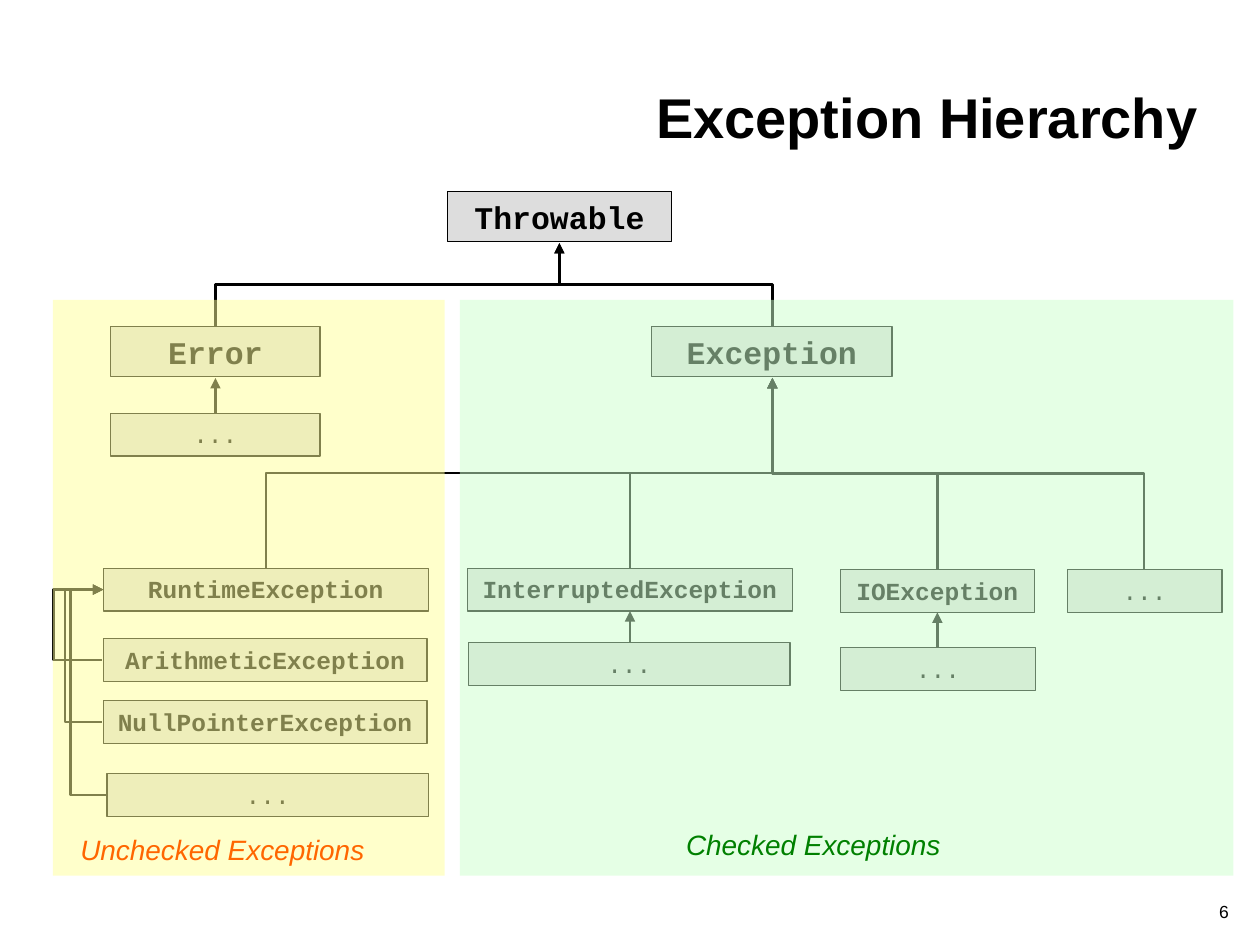
from lxml import etree
from pptx import Presentation
from pptx.dml.color import RGBColor
from pptx.enum.shapes import MSO_CONNECTOR as Connector, MSO_SHAPE as Shape
from pptx.enum.text import MSO_ANCHOR as Anchor, MSO_AUTO_SIZE as AutoSize, PP_ALIGN as Align
from pptx.oxml.ns import qn
from pptx.util import Inches, Pt


def write(shape, text, size, font="Arial", color="000000", align=Align.CENTER,
          anchor=Anchor.TOP, bold=False, italic=False):
    frame = shape.text_frame
    frame.word_wrap = True
    frame.auto_size = AutoSize.NONE
    frame.vertical_anchor = anchor
    paragraph = frame.paragraphs[0]
    paragraph.alignment = align
    run = paragraph.add_run()
    run.text = text
    run.font.name, run.font.size = font, Pt(size)
    run.font.bold, run.font.italic = bold, italic
    run.font.color.rgb = RGBColor.from_string(color)


def arrow(kind, x1, y1, x2, y2, rotation=0, bend=0.5):
    connector = slide.shapes.add_connector(
        kind, Inches(x1), Inches(y1), Inches(x2), Inches(y2))
    connector.line.color.rgb = RGBColor.from_string("000000")
    connector.line.width = Pt(1.5)
    properties = connector._element.spPr
    line = properties.find(qn("a:ln"))
    etree.SubElement(line, qn("a:tailEnd"), type="triangle")
    etree.SubElement(properties, qn("a:effectLst"))
    if kind == Connector.ELBOW:
        properties.find(qn("a:xfrm")).set("rot", str(rotation * 60000))
        guides = properties.find(qn("a:prstGeom")).get_or_add_avLst()
        etree.SubElement(guides, qn("a:gd"), name="adj1",
                         fmla=f"val {round(bend * 100000)}")


presentation = Presentation()
presentation.slide_width, presentation.slide_height = Inches(10), Inches(7.5)
slide = presentation.slides.add_slide(presentation.slide_layouts[5])

# Title
title = slide.shapes.title
title.left, title.top = Inches(0.7), Inches(0.04)
title.width, title.height = Inches(8.91), Inches(1.2)
write(title, "Exception Hierarchy", 32, align=Align.RIGHT, anchor=Anchor.BOTTOM, bold=True)

# Class boxes: name, left, top, width, height, text size
classes = [
    ("Throwable", 3.55, 1.52, 1.78, 0.4, 18),
    ("Error", 0.88, 2.59, 1.66, 0.4, 18),
    ("Exception", 5.17, 2.59, 1.91, 0.4, 18),
    ("RuntimeException", 0.82, 4.51, 2.58, 0.34, 14),
    ("InterruptedException", 3.71, 4.51, 2.58, 0.34, 14),
    ("IOException", 6.67, 4.52, 1.54, 0.34, 14),
    ("ArithmeticException", 0.82, 5.07, 2.57, 0.34, 14),
    ("NullPointerException", 0.82, 5.56, 2.57, 0.34, 14),
    ("...", 0.88, 3.28, 1.66, 0.34, 14),
    ("...", 0.85, 6.14, 2.55, 0.34, 14),
    ("...", 8.47, 4.52, 1.23, 0.34, 14),
    ("...", 3.72, 5.1, 2.55, 0.34, 14),
    ("...", 6.67, 5.14, 1.55, 0.34, 14),
]
for name, left, top, width, height, size in classes:
    box = slide.shapes.add_shape(
        Shape.RECTANGLE, Inches(left), Inches(top), Inches(width), Inches(height))
    box.shadow.inherit = False
    box.fill.solid()
    box.fill.fore_color.rgb = RGBColor.from_string("DDDDDD")
    box.line.color.rgb = RGBColor.from_string("000000")
    box.line.width = Pt(0.75)
    write(box, name, size, "Courier New", bold=name != "...")

# Straight arrows from subclass up to superclass
for x, bottom, top in [(1.71, 3.28, 3), (5, 5.1, 4.85), (7.44, 5.14, 4.86)]:
    arrow(Connector.STRAIGHT, x, bottom, x, top)

# Upward elbows: a horizontal elbow turned a quarter around its centre
for x1, y1, x2, y2 in [
    (1.71, 2.59, 4.44, 1.93), (6.13, 2.59, 4.44, 1.93),
    (2.11, 4.51, 6.13, 3), (5, 4.51, 6.13, 3),
    (7.44, 4.52, 6.13, 3), (9.08, 4.52, 6.13, 3),
]:
    center_x, center_y = (x1 + x2) / 2, (y1 + y2) / 2
    half_width, half_height = (y1 - y2) / 2, abs(x2 - x1) / 2
    side, rotation = (1, 90) if x2 > x1 else (-1, 270)
    arrow(Connector.ELBOW,
          center_x + side * half_width, center_y + half_height,
          center_x - side * half_width, center_y - half_height, rotation)

# Loops along the left edge into RuntimeException
for start_x, start_y, lane_x in [(0.81, 5.24, 0.42), (0.81, 5.73, 0.51), (0.85, 6.31, 0.56)]:
    end_x = 0.82
    arrow(Connector.ELBOW, start_x, start_y, end_x, 4.68,
          bend=(lane_x - start_x) / (end_x - start_x))

# Translucent areas
for left, width, color in [(0.42, 3.11, "FFFF99"), (3.65, 6.14, "CCFFCC")]:
    area = slide.shapes.add_shape(
        Shape.RECTANGLE, Inches(left), Inches(2.38), Inches(width), Inches(4.57))
    area.shadow.inherit = False
    area.fill.solid()
    area.fill.fore_color.rgb = RGBColor.from_string(color)
    area.line.fill.background()
    color_element = area._element.spPr.find(qn("a:solidFill"))[0]
    etree.SubElement(color_element, qn("a:alpha"), val="50000")

# Area labels
for text, left, top, color in [
    ("Unchecked Exceptions", 0.15, 6.56, "FF6600"),
    ("Checked Exceptions", 4.84, 6.52, "008000"),
]:
    label = slide.shapes.add_textbox(Inches(left), Inches(top), Inches(3.23), Inches(0.37))
    write(label, text, 16, color=color, italic=True)

# Slide number
number = slide.shapes.add_textbox(Inches(8), Inches(7.08), Inches(1.85), Inches(0.29))
write(number, "6", 10, align=Align.RIGHT, anchor=Anchor.BOTTOM)

presentation.save("out.pptx")
